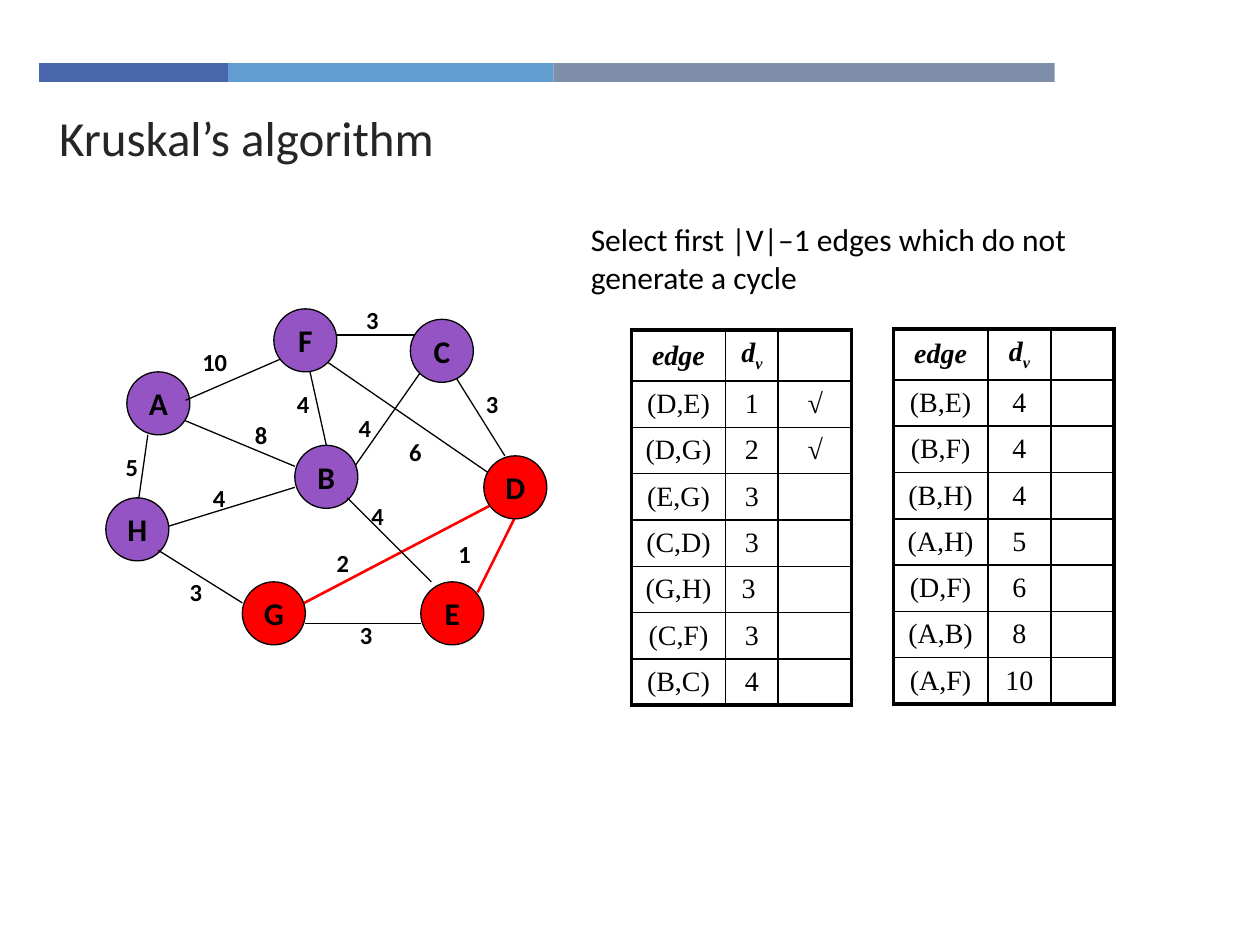
import pptx
import pptx.dml.color
import pptx.enum.shapes
import pptx.enum.text
import pptx.oxml.ns
import pptx.util
from dataclasses import dataclass
from lxml import etree

Pt = pptx.util.Pt
SHAPES = pptx.enum.shapes.MSO_SHAPE
CENTER = pptx.enum.text.PP_ALIGN.CENTER
MIDDLE = pptx.enum.text.MSO_ANCHOR.MIDDLE
TOP = pptx.enum.text.MSO_ANCHOR.TOP


@dataclass(frozen=True)
class Theme:
    bars: tuple = ("4A66AC", "629DD1", "7F8FA9")
    heading: str = "262626"
    ink: str = "000000"
    unvisited: str = "9454C3"
    chosen: str = "FF0000"
    font: str = "Calibri"
    table_font: str = "Times New Roman"
    title_size: float = 28
    body_size: float = 18
    table_size: float = 16
    weight_size: float = 14
    thin: float = 0.75
    thick: float = 1.5
    grid: float = 1
    frame: float = 2.25


THEME = Theme()
UNIT = 6  # the graph lies on a 6 pt grid
NODE_SIZE = 6

# Node: left and top on the graph grid
NODES = {"A": (2, 7), "H": (0, 19), "B": (18, 14), "F": (16, 1),
         "E": (30, 27), "D": (36, 15), "C": (29, 2), "G": (13, 27)}
CHOSEN_NODES = "DEG"

# Edge: start, end, weight, label position; all on the graph grid
EDGES_BEHIND = [
    ((40.4, 18), (35.4, 28), "1", (32.4, 22.3)),
    ((19, 5), (21, 14), "4", (17, 8)),
    ((23, 17), (30, 7), "4", (22.9, 10.3)),
    ((37, 17), (21, 6), "6", (27.7, 12.6)),
    ((5, 22), (18, 18), "4", (9, 17)),
    ((17, 30), (38, 19), "2", (20.8, 23.2)),
    ((3, 20), (4, 13), "5", (0.7, 14)),
    ((6, 11), (18, 16), "8", (13, 11)),
    ((21.6, 3.5), (29.6, 3.5), "3", (23.6, 0)),
    ((33, 7), (38, 15), "3", (35, 8)),
]
EDGES_IN_FRONT = [
    ((23, 19), (31, 27), "4", (24.1, 18.7)),
    ((30, 31), (19, 31), "3", (23, 30)),
    ((13, 29), (5, 24), "3", (6.8, 25.9)),
    ((7.6, 9.7), (16.6, 5.8), "10", (8, 4)),
]
CHOSEN_WEIGHTS = ("1", "2")

LIGHT_EDGES = [("(D,E)", "1", "√"), ("(D,G)", "2", "√"), ("(E,G)", "3", ""),
               ("(C,D)", "3", ""), ("(G,H)", "3 ", ""), ("(C,F)", "3", ""),
               ("(B,C)", "4", "")]
HEAVY_EDGES = [("(B,E)", "4", ""), ("(B,F)", "4", ""), ("(B,H)", "4", ""),
               ("(A,H)", "5", ""), ("(D,F)", "6", ""), ("(A,B)", "8", ""),
               ("(A,F)", "10", "")]


def rgb(value):
    return pptx.dml.color.RGBColor.from_string(value)


def style(paragraph, size, color=THEME.ink, font=THEME.font, bold=False, italic=False):
    for run in paragraph.runs:
        run.font.size = Pt(size)
        run.font.name = font
        run.font.bold = bold
        run.font.italic = italic
        run.font.color.rgb = rgb(color)


def add_filled(slide, preset, left, top, width, height, color):
    part = slide.shapes.add_shape(preset, Pt(left), Pt(top), Pt(width), Pt(height))
    part.shadow.inherit = False
    part.fill.solid()
    part.fill.fore_color.rgb = rgb(color)
    part.line.fill.background()
    return part


def add_text(slide, left, top, width, height, words, size, bold=False):
    box = slide.shapes.add_textbox(Pt(left), Pt(top), Pt(width), Pt(height))
    box.text_frame.word_wrap = True
    box.text_frame.text = words
    style(box.text_frame.paragraphs[0], size, bold=bold)


def add_bars(slide, left, top, widths, height):
    for width, color in zip(widths, THEME.bars):
        add_filled(slide, SHAPES.RECTANGLE, left, top, width, height, color)
        left += width


def add_title(slide, left, top, width, height, words):
    title = slide.shapes.title
    title.left, title.top, title.width, title.height = map(Pt, (left, top, width, height))
    title.text_frame.text = words
    title.text_frame.vertical_anchor = TOP
    heading = title.text_frame.paragraphs[0]
    heading.alignment = pptx.enum.text.PP_ALIGN.LEFT
    style(heading, THEME.title_size, THEME.heading)


def add_graph(slide, left, top):
    def place(point):
        return left + point[0] * UNIT, top + point[1] * UNIT

    def add_edges(edges):
        for start, end, weight, _ in edges:
            chosen = weight in CHOSEN_WEIGHTS
            edge = slide.shapes.add_connector(
                pptx.enum.shapes.MSO_CONNECTOR.STRAIGHT,
                *map(Pt, place(start) + place(end)))
            edge.line.color.rgb = rgb(THEME.chosen if chosen else THEME.ink)
            edge.line.width = Pt(THEME.thick if chosen else THEME.thin)
            etree.SubElement(edge._element.spPr, pptx.oxml.ns.qn("a:effectLst"))

    add_edges(EDGES_BEHIND)
    # Nodes cover the ends of the edges behind them
    for letter, corner in NODES.items():
        color = THEME.chosen if letter in CHOSEN_NODES else THEME.unvisited
        diameter = NODE_SIZE * UNIT
        node = add_filled(slide, SHAPES.OVAL, *place(corner), diameter, diameter, color)
        node.line.color.rgb = rgb(THEME.ink)
        node.line.width = Pt(THEME.thin)
        node.text_frame.word_wrap = False
        node.text_frame.vertical_anchor = MIDDLE
        node.text_frame.text = letter
        node.text_frame.paragraphs[0].alignment = CENTER
        style(node.text_frame.paragraphs[0], THEME.body_size, bold=True)
    add_edges(EDGES_IN_FRONT)
    # Weights
    for _, _, weight, corner in EDGES_BEHIND + EDGES_IN_FRONT:
        width = 37 if len(weight) > 1 else 24
        add_text(slide, *place(corner), width, 24, weight, THEME.weight_size, bold=True)


def set_borders(cell, widths):
    properties = cell._tc.get_or_add_tcPr()
    for side, width in zip(("a:lnL", "a:lnR", "a:lnT", "a:lnB"), widths):
        border = etree.SubElement(properties, pptx.oxml.ns.qn(side), w=str(Pt(width)))
        fill = etree.SubElement(border, pptx.oxml.ns.qn("a:solidFill"))
        etree.SubElement(fill, pptx.oxml.ns.qn("a:srgbClr"), val=THEME.ink)


def add_edge_table(slide, left, top, column_widths, edges):
    rows = [("edge", "d", "")] + edges
    row_heights = [29.2] + [26.45] * len(edges)
    last_row, last_column = len(rows) - 1, len(column_widths) - 1
    table = slide.shapes.add_table(
        len(rows), len(column_widths), Pt(left), Pt(top),
        Pt(sum(column_widths)), Pt(sum(row_heights))).table
    table.first_row = table.horz_banding = False
    for column, width in zip(table.columns, column_widths):
        column.width = Pt(width)
    for r, (values, height) in enumerate(zip(rows, row_heights)):
        table.rows[r].height = Pt(height)
        for c, value in enumerate(values):
            cell = table.cell(r, c)
            outer = (c == 0, c == last_column, r == 0, r == last_row)
            set_borders(cell, [THEME.frame if edge else THEME.grid for edge in outer])
            cell.fill.background()
            cell.margin_top = cell.margin_bottom = Pt(2)
            cell.vertical_anchor = MIDDLE
            if not value:
                continue
            cell.text_frame.text = value
            entry = cell.text_frame.paragraphs[0]
            entry.alignment = CENTER
            if value == "d":
                subscript = entry.add_run()
                subscript.text = "v"
                subscript.font._element.set("baseline", "-25000")
            strong = r == 0 or value == "√"
            style(entry, THEME.table_size, font=THEME.table_font, bold=strong, italic=strong)


def main():
    deck = pptx.Presentation()
    deck.slide_width, deck.slide_height = Pt(720), Pt(540)
    slide = deck.slides.add_slide(deck.slide_layouts[5])
    add_bars(slide, 22.4, 36, (108, 185.8, 286.5), 10.8)
    add_title(slide, 26.6, 57.6, 515.5, 38.9, "Kruskal’s algorithm")
    add_text(slide, 330.5, 122.4, 318.2, 55.4,
             "Select first |V|–1 edges which do not generate a cycle", THEME.body_size)
    add_graph(slide, 60.5, 170.5)
    add_edge_table(slide, 360.7, 188.6, (54, 30, 42), LIGHT_EDGES)
    add_edge_table(slide, 510.5, 187.9, (54, 36, 36), HEAVY_EDGES)
    deck.save("out.pptx")


if __name__ == "__main__":
    main()
